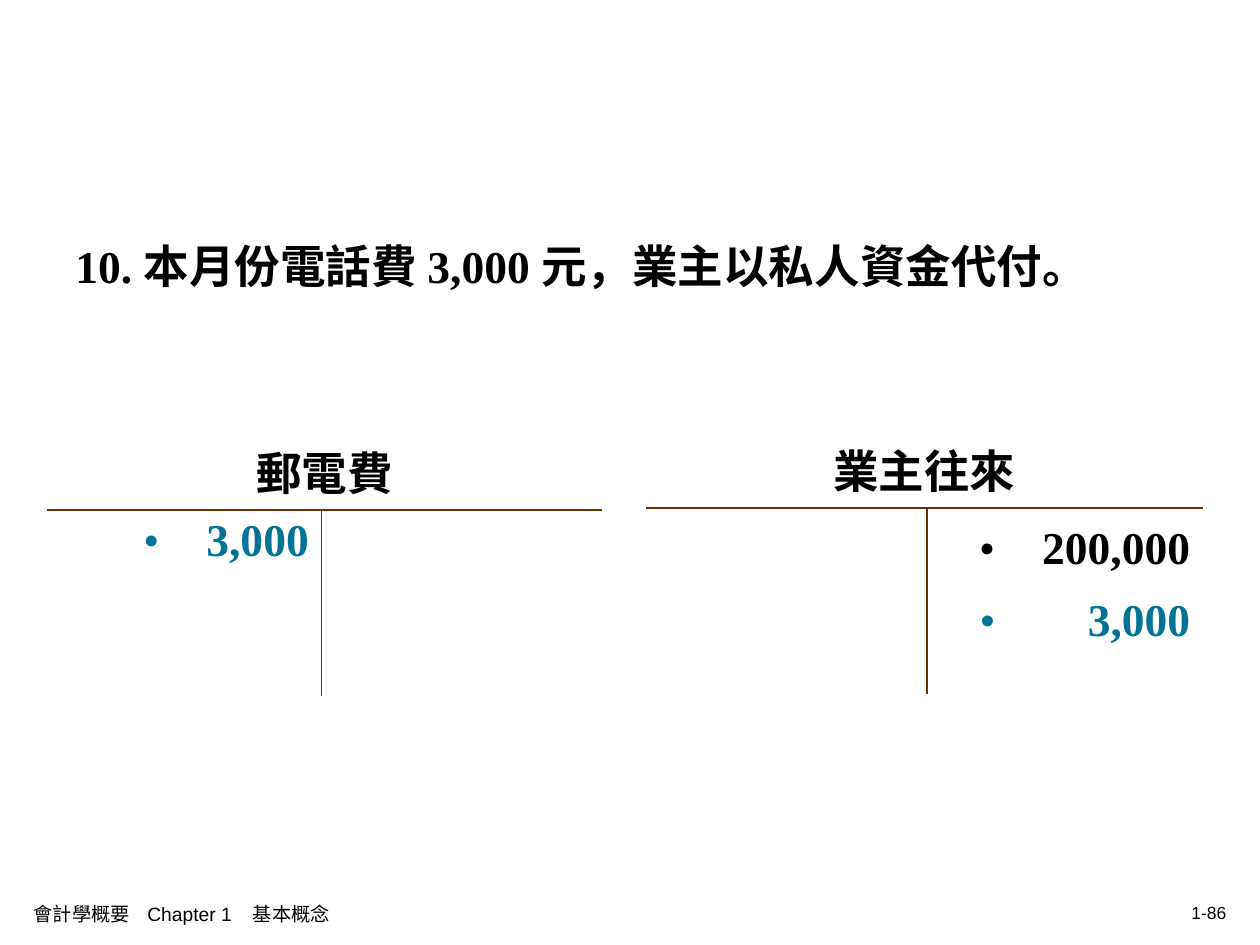
from dataclasses import dataclass

from lxml.etree import SubElement
from pptx import Presentation
from pptx.dml.color import RGBColor
from pptx.enum.text import MSO_ANCHOR as Anchor, PP_ALIGN as Align
from pptx.oxml.ns import qn
from pptx.util import Cm, Pt


@dataclass(frozen=True)
class Theme:
    ink: str = "000000"
    accent: str = "007396"
    rule: str = "663300"
    serif: str = "Times New Roman"
    sans: str = "Arial"
    body_size: float = 26
    footer_size: float = 11
    page_size: float = 10
    rule_width: float = 1.08


THEME = Theme()
BODY = {"name": THEME.serif, "size": Pt(THEME.body_size), "bold": True}
FOOTER = {"name": THEME.sans, "size": Pt(THEME.footer_size), "bold": False}
PAGE = {**FOOTER, "size": Pt(THEME.page_size)}


@dataclass(frozen=True)
class Entry:
    amount: str
    color: str
    indent: float = 1.27


@dataclass(frozen=True)
class Account:
    title: str
    left: float
    top: float
    columns: tuple[float, float]
    rows: tuple[float, float]
    entry_side: int
    entries: tuple[Entry, ...]
    title_spacing: float
    entry_spacing: float


ACCOUNTS = (
    Account("郵電費", 0.94, 8.43, (5.54, 5.66), (1.85, 3.76), 0,
            (Entry("3,000", THEME.accent),), 1.2, 1.0),
    Account("業主往來", 13.03, 8.66, (5.66, 5.56), (1.58, 3.76), 1,
            (Entry("200,000", THEME.ink), Entry("3,000", THEME.accent, 2.18)),
            1.0, 1.2),
)


def write(paragraph, text: str, font: dict, color: str = THEME.ink,
          **layout) -> None:
    for key, value in layout.items():
        setattr(paragraph, key, value)
    run = paragraph.add_run()
    run.text = text
    for key, value in font.items():
        setattr(run.font, key, value)
    run.font.color.rgb = RGBColor.from_string(color)


def add_bullet(paragraph, color: str, indent: float) -> None:
    props = paragraph._p.get_or_add_pPr()
    props.set("marL", str(Cm(indent)))
    props.set("indent", str(-Cm(indent)))
    bullet_color = SubElement(props, qn("a:buClr"))
    SubElement(bullet_color, qn("a:srgbClr"), val=color)
    SubElement(props, qn("a:buFont"), typeface=THEME.serif)
    SubElement(props, qn("a:buChar"), char="•")


def add_tabs(paragraph, stops: tuple[float, ...]) -> None:
    tabs = SubElement(paragraph._p.get_or_add_pPr(), qn("a:tabLst"))
    for stop in stops:
        SubElement(tabs, qn("a:tab"), pos=str(Cm(stop)), algn="l")


def add_text_box(slide, left: float, top: float, width: float, height: float,
                 anchor: Anchor):
    frame = slide.shapes.add_textbox(
        Cm(left), Cm(top), Cm(width), Cm(height)).text_frame
    frame.word_wrap = True
    frame.vertical_anchor = anchor
    return frame.paragraphs[0]


def style_cell(cell, ruled_sides: str) -> None:
    props = cell._tc.get_or_add_tcPr()
    for side in "LRTB":
        line = SubElement(props, qn(f"a:ln{side}"),
                          w=str(Pt(THEME.rule_width)))
        if side in ruled_sides:
            fill = SubElement(line, qn("a:solidFill"))
            SubElement(fill, qn("a:srgbClr"), val=THEME.rule)
        else:
            SubElement(line, qn("a:noFill"))
    cell.fill.background()


def draw_account(slide, account: Account) -> None:
    table = slide.shapes.add_table(
        2, 2, Cm(account.left), Cm(account.top),
        Cm(sum(account.columns)), Cm(sum(account.rows))).table
    table.first_row = table.horz_banding = False
    for column, width in zip(table.columns, account.columns):
        column.width = Cm(width)
    for row, height in zip(table.rows, account.rows):
        row.height = Cm(height)

    # Rules that form the T
    for row, sides in enumerate((("B", "B"), ("RT", "LT"))):
        for column, ruled in enumerate(sides):
            style_cell(table.cell(row, column), ruled)

    # Account title across both sides
    header = table.cell(0, 0)
    header.merge(table.cell(0, 1))
    header.vertical_anchor = Anchor.MIDDLE
    write(header.text_frame.paragraphs[0], account.title, BODY,
          alignment=Align.CENTER, line_spacing=account.title_spacing)

    # Posted amounts
    frame = table.cell(1, account.entry_side).text_frame
    for index, entry in enumerate(account.entries):
        paragraph = frame.add_paragraph() if index else frame.paragraphs[0]
        add_bullet(paragraph, entry.color, entry.indent)
        write(paragraph, entry.amount, BODY, entry.color,
              alignment=Align.RIGHT, line_spacing=account.entry_spacing,
              space_before=Pt(6.5 if index else 0))

    # Keep the empty side at the same type size
    empty = table.cell(1, 1 - account.entry_side).text_frame.paragraphs[0]
    empty.font.size = BODY["size"]


def main() -> None:
    deck = Presentation()
    deck.slide_width, deck.slide_height = Cm(25.4), Cm(19.05)
    slide = deck.slides.add_slide(deck.slide_layouts[6])

    # Transaction
    transaction = add_text_box(slide, 1.27, 4.45, 22.86, 3.3, Anchor.TOP)
    write(transaction, "10. 本月份電話費 3,000 元，業主以私人資金代付。", BODY,
          line_spacing=1.2)

    # T accounts
    for account in ACCOUNTS:
        draw_account(slide, account)

    # Footer
    chapter = add_text_box(slide, 0.43, 18.01, 11.35, 0.84, Anchor.MIDDLE)
    add_tabs(chapter, (2.29, 4.42))
    write(chapter, "會計學概要\tChapter 1\t基本概念", FOOTER)
    page = add_text_box(slide, 18.21, 17.98, 6.76, 0.84, Anchor.MIDDLE)
    write(page, "1-86", PAGE, alignment=Align.RIGHT)

    deck.save("out.pptx")


if __name__ == "__main__":
    main()
